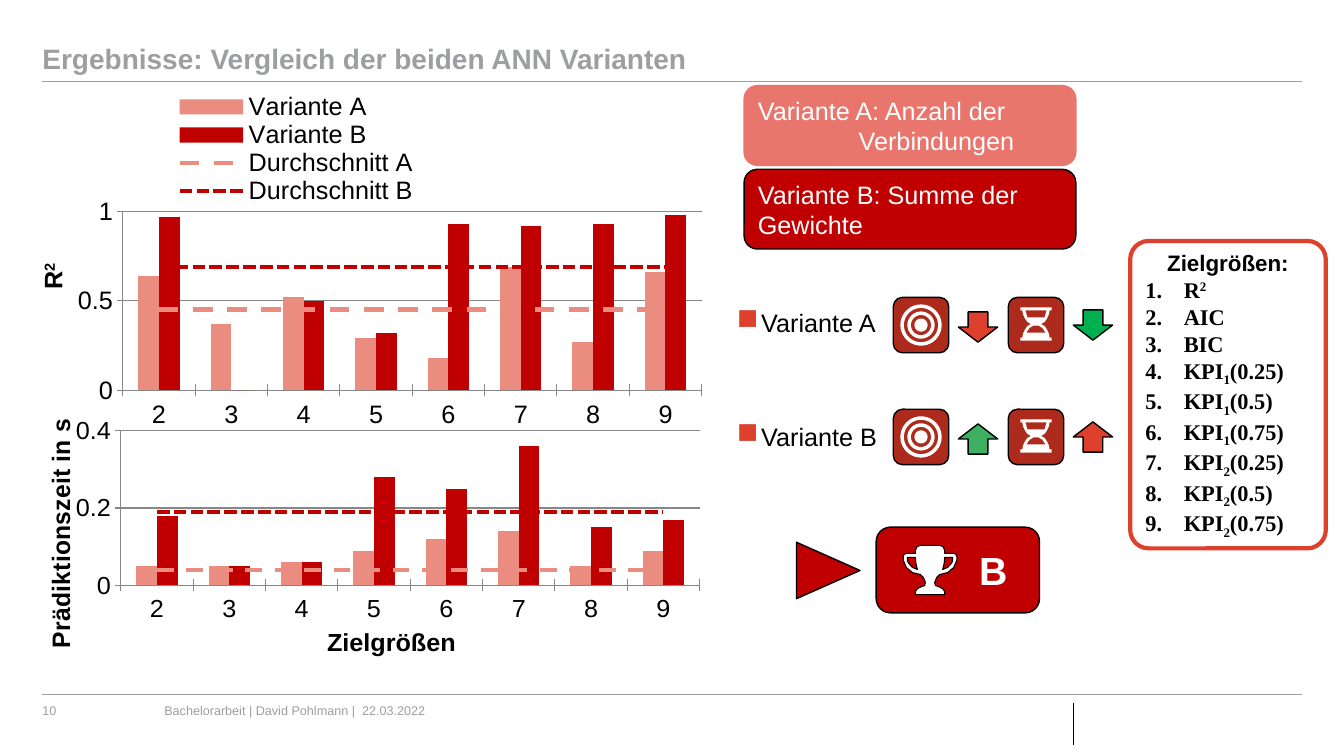
from dataclasses import dataclass
from math import cos, pi, sin

from lxml import etree
from pptx import Presentation
from pptx.chart.data import CategoryChartData
from pptx.dml.color import RGBColor
from pptx.enum.chart import XL_CHART_TYPE, XL_LEGEND_POSITION, XL_MARKER_STYLE, XL_TICK_MARK
from pptx.enum.dml import MSO_LINE
from pptx.enum.shapes import MSO_CONNECTOR, MSO_SHAPE
from pptx.enum.text import MSO_ANCHOR, PP_ALIGN
from pptx.oxml import parse_xml
from pptx.oxml.ns import nsdecls, qn
from pptx.util import Inches, Pt

COLUMNS = XL_CHART_TYPE.COLUMN_CLUSTERED
LEGEND_RIGHT = XL_LEGEND_POSITION.RIGHT
NO_MARKER = XL_MARKER_STYLE.NONE
CROSS = XL_TICK_MARK.CROSS
DASH, SHORT_DASH = MSO_LINE.DASH, MSO_LINE.SQUARE_DOT
STRAIGHT = MSO_CONNECTOR.STRAIGHT
ROUNDED, ARROW, PENTAGON = MSO_SHAPE.ROUNDED_RECTANGLE, MSO_SHAPE.RIGHT_ARROW, MSO_SHAPE.PENTAGON
TOP, MIDDLE, BOTTOM = MSO_ANCHOR.TOP, MSO_ANCHOR.MIDDLE, MSO_ANCHOR.BOTTOM
LEFT, CENTER = PP_ALIGN.LEFT, PP_ALIGN.CENTER


@dataclass(frozen=True)
class Theme:
    font: str = "Arial"
    serif: str = "Times New Roman"
    grey: str = "9D9EA0"
    grid: str = "878787"
    black: str = "000000"
    white: str = "FFFFFF"
    light_red: str = "EB8C81"
    salmon: str = "E9766D"
    dark_red: str = "C00000"
    tile: str = "AC2B1C"
    red: str = "DD402D"
    green: str = "00B050"
    soft_green: str = "3FAF62"
    footer: int = 9
    list: int = 16
    body: int = 18
    title: int = 20
    winner: int = 28


THEME = Theme()
CATEGORIES = [str(number) for number in range(2, 10)]
SERIES_NAMES = ["Variante A", "Variante B", "Durchschnitt A", "Durchschnitt B"]


def color(value):
    return RGBColor.from_string(value)


def add_run(paragraph, text, size, fill, bold=False, font=THEME.font, baseline=0):
    run = paragraph.add_run()
    run.text = text
    run.font.size, run.font.bold, run.font.name = Pt(size), bold, font
    run.font.color.rgb = color(fill)
    if baseline:
        run.font._element.set("baseline", str(baseline * 1000))


def set_indent(paragraph, margin, bullet=""):
    properties = paragraph._p.get_or_add_pPr()
    properties.set("marL", str(Inches(margin)))
    properties.set("indent", str(-Inches(margin)))
    for element in list(parse_xml(f"<a:pPr {nsdecls('a')}>{bullet}</a:pPr>")):
        properties.append(element)


def prepare_frame(frame, anchor, inset=None):
    frame.word_wrap, frame.vertical_anchor = True, anchor
    if inset is not None:
        frame.margin_left = frame.margin_right = frame.margin_top = frame.margin_bottom = Inches(inset)
    return frame.paragraphs[0]


def add_text_box(slide, box):
    frame = slide.shapes.add_textbox(*map(Inches, box)).text_frame
    prepare_frame(frame, TOP, 0)
    return frame


def style_shape(shape, fill, line, width=1):
    shape.shadow.inherit = False
    shape.fill.solid()
    shape.fill.fore_color.rgb = color(fill)
    if line:
        shape.line.color.rgb, shape.line.width = color(line), Pt(width)
    else:
        shape.line.fill.background()


def add_panel(shapes, kind, box, fill, line=THEME.black, width=1):
    shape = shapes.add_shape(kind, *map(Inches, box))
    style_shape(shape, fill, line, width)
    return shape


def add_rule(slide, start, end, fill, width):
    rule = slide.shapes.add_connector(STRAIGHT, *map(Inches, start + end))
    rule.line.color.rgb, rule.line.width = color(fill), Pt(width)
    etree.SubElement(rule._element.spPr, qn("a:effectLst"))


def mirror(points, width):
    return [(width - x, y) for x, y in reversed(points)]


def target_contours():
    angles = [2 * pi * step / 40 for step in range(40)]
    return [[(20.5 + radius * cos(angle), 20.5 + radius * sin(angle)) for angle in angles]
            for radius in (20.5, 17, 13.5, 10, 6.5)]


def hourglass_contours():
    upper = [(31, 0), (31, 3), (29, 3), (28.3, 7), (26.5, 11), (24, 14.5), (20.5, 16.5)]
    right = upper + [(x, 33 - y) for x, y in reversed(upper)]
    return [right + mirror(right, 31), [(5, 3), (7, 10), (24, 10), (26, 3)],
            [(18, 18), (13, 18), (9, 20.5), (6, 25), (25, 25), (22, 20.5)]]


def trophy_contours():
    right = [(36, 0), (39.5, 1.5), (41, 5), (41, 8), (50, 8), (52.2, 9), (53, 11), (53, 15), (50, 22),
             (44, 27), (36, 29), (33, 32), (31, 37), (32, 40), (35, 41), (39, 43), (41, 46), (41, 49)]
    handle = [(49, 12), (41, 12), (40.5, 18), (39, 24), (44, 22), (48, 17.5), (49, 15)]
    return [right + mirror(right, 53), handle, mirror(handle, 53)]


def add_icon(shapes, left, top, contours, line=None):
    outlines = [[(Inches(left + x / 100), Inches(top + y / 100)) for x, y in contour] for contour in contours]
    builder = shapes.build_freeform(*outlines[0][0])
    for index, outline in enumerate(outlines):
        if index:
            builder.move_to(*outline[0])
        builder.add_line_segments(outline[1:], close=True)
    style_shape(builder.convert_to_shape(), THEME.white, line, 0.75)


def add_frame(slide, left, right):
    title = slide.shapes.title
    title.left, title.top, title.width, title.height = map(Inches, (left, 0.16, right - left, 0.59))
    paragraph = prepare_frame(title.text_frame, BOTTOM, 0)
    paragraph.alignment, paragraph.line_spacing = LEFT, 0.9
    add_run(paragraph, "Ergebnisse: Vergleich der beiden ANN Varianten", THEME.title, THEME.grey, True)
    for y in (0.81, 6.89):
        add_rule(slide, (left, y), (right, y), THEME.grey, 0.5)
    add_rule(slide, (10.65, 6.97), (10.65, 7.39), THEME.black, 0.75)
    for x, width, text in ((left, 0.96, "10"), (1.63, 3.94, "Bachelorarbeit | David Pohlmann |  22.03.2022")):
        frame = add_text_box(slide, (x, 6.97, width, 0.15))
        add_run(frame.paragraphs[0], text, THEME.footer, THEME.grey)


def set_layout(element, x, y, width=None, height=None, inner=False):
    for old in element.findall(qn("c:layout")):
        element.remove(old)
    parts = [("layoutTarget", "inner")] if inner else []
    parts += [("xMode", "edge"), ("yMode", "edge"), ("x", x), ("y", y)]
    parts += [("w", width), ("h", height)] if width else []
    values = "".join(f'<c:{name} val="{value}"/>' for name, value in parts)
    layout = parse_xml(f"<c:layout {nsdecls('c')}><c:manualLayout>{values}</c:manualLayout></c:layout>")
    position = 0 if element.tag == qn("c:plotArea") else 1
    element.insert(position, layout)


def move_averages_to_lines(chart):
    bars = chart.element.find(".//" + qn("c:barChart"))
    lines = parse_xml(f'<c:lineChart {nsdecls("c")}><c:grouping val="standard"/><c:varyColors val="0"/></c:lineChart>')
    for series in bars.findall(qn("c:ser"))[2:]:
        for flag in series.findall(qn("c:invertIfNegative")):
            series.remove(flag)
        lines.append(series)
    etree.SubElement(lines, qn("c:marker")).set("val", "1")
    for axis in bars.findall(qn("c:axId")):
        etree.SubElement(lines, qn("c:axId")).set("val", axis.get("val"))
    bars.addnext(lines)


def add_axis_title(axis, runs, position, rotation):
    title = axis.axis_title
    paragraph = title.text_frame.paragraphs[0]
    for text, baseline in runs:
        add_run(paragraph, text, THEME.body, THEME.black, True, baseline=baseline)
    element = axis._element.find(qn("c:title"))
    for body in element.iter(qn("a:bodyPr")):
        body.set("rot", str(rotation * 60000))
    set_layout(element, *position)


def add_comparison_chart(slide, box, values, maximum, plot_top, average_width):
    data = CategoryChartData()
    data.categories = CATEGORIES
    for name, numbers in zip(SERIES_NAMES, values):
        data.add_series(name, numbers)
    chart = slide.shapes.add_chart(COLUMNS, *map(Inches, box), data).chart
    chart.has_title = chart.has_legend = False
    chart.font.size, chart.font.name = Pt(THEME.body), THEME.font
    chart.font.color.rgb = color(THEME.black)
    chart.element.find(qn("c:chart")).addnext(parse_xml(
        f"<c:spPr {nsdecls('c', 'a')}><a:noFill/><a:ln><a:noFill/></a:ln></c:spPr>"))
    move_averages_to_lines(chart)
    bars, lines = chart.plots
    bars.vary_by_categories, bars.gap_width, bars.overlap = False, 150, 0
    for series, fill in zip(bars.series, (THEME.light_red, THEME.dark_red)):
        series.format.fill.solid()
        series.format.fill.fore_color.rgb = color(fill)
    styles = ((THEME.light_red, average_width, DASH), (THEME.dark_red, 3, SHORT_DASH))
    for series, (fill, width, dash) in zip(lines.series, styles):
        series.smooth, series.marker.style = False, NO_MARKER
        line = series.format.line
        line.color.rgb, line.width, line.dash_style = color(fill), Pt(width), dash
    scale = chart.value_axis
    scale.minimum_scale, scale.maximum_scale, scale.major_unit = 0, maximum, maximum / 2
    scale.has_major_gridlines = True
    for axis in (scale, chart.category_axis):
        axis.major_tick_mark = CROSS
        axis.format.line.color.rgb = color(THEME.grid)
    scale.major_gridlines.format.line.color.rgb = color(THEME.grid)
    set_layout(chart.element.find(".//" + qn("c:plotArea")), 0.145, plot_top, 0.818, 0.481, inner=True)
    return chart


def add_charts(slide, left, top):
    accuracy = [[0.64, 0.37, 0.52, 0.29, 0.18, 0.69, 0.27, 0.66],
                [0.97, 0, 0.5, 0.32, 0.93, 0.92, 0.93, 0.98], [0.45] * 8, [0.69] * 8]
    duration = [[0.05, 0.05, 0.06, 0.09, 0.12, 0.14, 0.05, 0.09],
                [0.18, 0.05, 0.06, 0.28, 0.25, 0.36, 0.15, 0.17], [0.04] * 8, [0.19] * 8]
    chart = add_comparison_chart(slide, (left, top, 7.02, 3.69), accuracy, 1, 0.319, 3.5)
    add_axis_title(chart.value_axis, [("R", 0), ("2", 30)], (0.02, 0.45), -90)
    chart.has_legend = True
    chart.legend.position, chart.legend.include_in_layout = LEGEND_RIGHT, False
    set_layout(chart.element.find(".//" + qn("c:legend")), 0.21, 0, 0.36, 0.3)
    chart = add_comparison_chart(slide, (left - 0.02, top + 2.41, 7.02, 3.26), duration, 0.4, 0.296, 3)
    add_axis_title(chart.value_axis, [("Prädiktionszeit in s", 0)], (0.03, 0.26), -90)
    add_axis_title(chart.category_axis, [("Zielgrößen", 0)], (0.43, 0.89), 0)


def add_definitions(slide, left, top):
    definitions = (("Variante A: Anzahl der Verbindungen", THEME.salmon, THEME.salmon, 1),
                   ("Variante B: Summe der Gewichte", THEME.dark_red, THEME.black, 0))
    for index, (text, fill, line, hanging) in enumerate(definitions):
        panel = add_panel(slide.shapes, ROUNDED, (left, top + index * 0.83, 3.29, 0.79), fill, line)
        paragraph = prepare_frame(panel.text_frame, MIDDLE)
        paragraph.alignment = LEFT
        set_indent(paragraph, hanging)
        add_run(paragraph, text, THEME.body, THEME.white)


def add_variant_labels(slide, box):
    frame = add_text_box(slide, box)
    bullet = f'<a:buClr><a:srgbClr val="{THEME.red}"/></a:buClr><a:buSzPct val="115000"/><a:buChar char="■"/>'
    for index, name in enumerate(SERIES_NAMES[:2]):
        paragraph = frame.add_paragraph() if index else frame.paragraphs[0]
        paragraph.space_before = Pt(60 * index)
        set_indent(paragraph, 0.24, bullet)
        add_run(paragraph, name, THEME.body, THEME.black)


def add_rating(slide, left, top, arrow_fills, rotation):
    shapes = slide.shapes.add_group_shape().shapes
    icons = ((target_contours(), 0.07, 0.07), (hourglass_contours(), 0.12, 0.1))
    for index, ((contours, x, y), fill) in enumerate(zip(icons, arrow_fills)):
        start = left + index * 1.14
        add_panel(shapes, ROUNDED, (start, top, 0.55, 0.55), THEME.tile)
        add_icon(shapes, start + x, top + y, contours)
        arrow = add_panel(shapes, ARROW, (start + 0.69, top + 0.1 - index * 0.02, 0.3, 0.39), fill)
        arrow.rotation = rotation


def add_winner(slide, left, top):
    shapes = slide.shapes.add_group_shape().shapes
    pointer = add_panel(shapes, PENTAGON, (left, top + 0.15, 0.63, 0.56), THEME.dark_red)
    pointer.adjustments[0] = 1.18
    panel = add_panel(shapes, ROUNDED, (left + 0.79, top, 1.62, 0.85), THEME.dark_red)
    paragraph = prepare_frame(panel.text_frame, MIDDLE)
    panel.text_frame.margin_left = Inches(0.8)
    paragraph.alignment = CENTER
    add_run(paragraph, "B", THEME.winner, THEME.white, True)
    add_icon(shapes, left + 1.06, top + 0.18, trophy_contours(), THEME.black)


def add_target_list(slide, box):
    panel = add_panel(slide.shapes, ROUNDED, box, THEME.white, THEME.red, 3)
    panel.adjustments[0] = 0.094
    heading = prepare_frame(panel.text_frame, MIDDLE)
    heading.alignment = CENTER
    add_run(heading, "Zielgrößen:", THEME.list, THEME.black, True)
    items = [[("R", 0), ("2", 30)], [("AIC", 0)], [("BIC", 0)]]
    items += [[("KPI", 0), (index, -25), (f"({share})", 0)]
              for index in "12" for share in ("0.25", "0.5", "0.75")]
    for item in items:
        paragraph = panel.text_frame.add_paragraph()
        paragraph.alignment = LEFT
        set_indent(paragraph, 0.38, '<a:buFont typeface="+mj-lt"/><a:buAutoNum type="arabicPeriod"/>')
        for text, baseline in item:
            add_run(paragraph, text, THEME.list, THEME.black, True, THEME.serif, baseline)


def main():
    presentation = Presentation()
    presentation.slide_width, presentation.slide_height = Inches(13.33), Inches(7.5)
    slide = presentation.slides.add_slide(presentation.slide_layouts[5])
    add_frame(slide, 0.42, 12.91)
    add_variant_labels(slide, (7.31, 3.05, 3.07, 2.12))
    add_target_list(slide, (11.21, 2.39, 1.94, 3.05))
    add_charts(slide, 0.2, 0.92)
    add_definitions(slide, 7.38, 0.85)
    add_winner(slide, 7.9, 5.23)
    add_rating(slide, 8.86, 2.95, (THEME.red, THEME.green), 90)
    add_rating(slide, 8.86, 4.06, (THEME.soft_green, THEME.red), 270)
    presentation.save("out.pptx")


if __name__ == "__main__":
    main()
